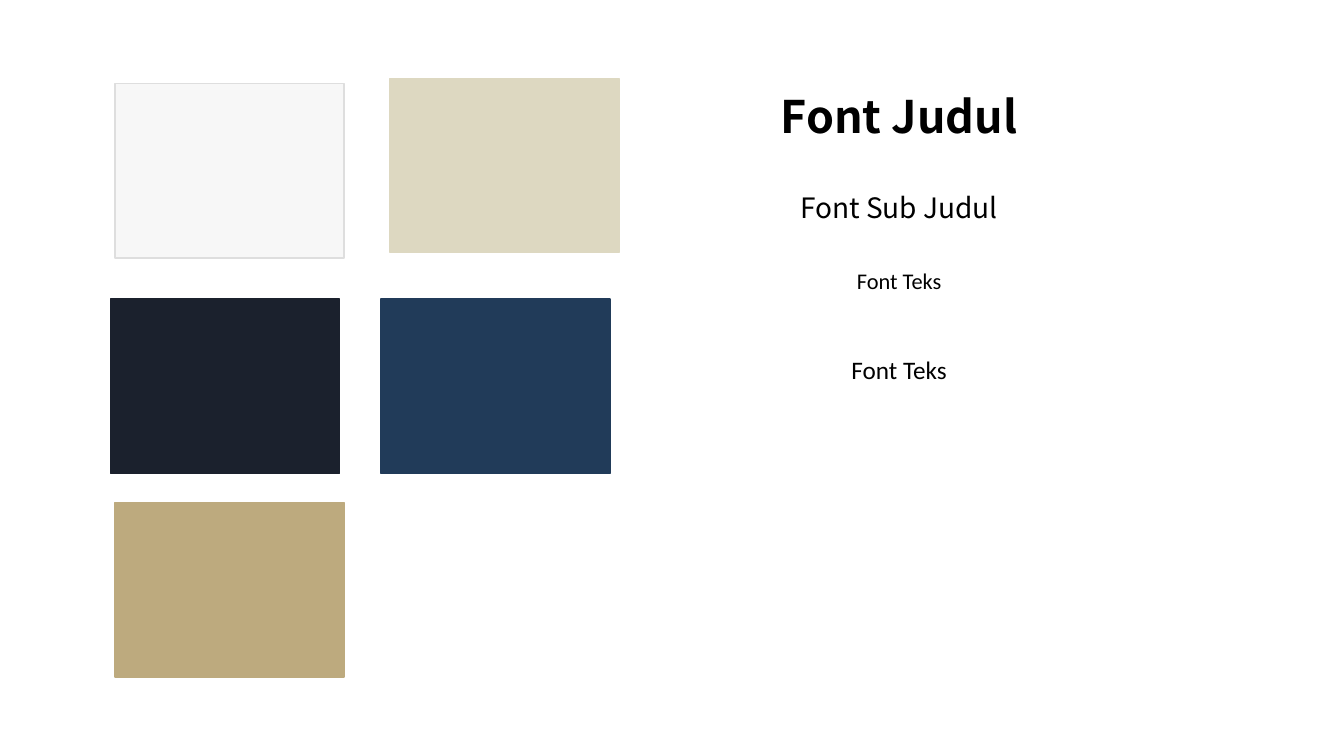
from dataclasses import dataclass

import pptx
import pptx.dml.color
import pptx.enum.shapes
import pptx.enum.text
import pptx.slide
import pptx.util
from pptx.util import Cm


@dataclass(frozen=True)
class Theme:
    background: str = "FFFFFF"
    text: str = "000000"
    white: str = "F7F7F7"
    white_border: str = "DEDEDE"
    navy: str = "1B212D"
    gold: str = "BDAA7E"
    cream: str = "DDD8C1"
    blue: str = "213B59"
    heading_font: str = "Noto Sans CJK TC"
    body_font: str = "Calibri"
    title_size: int = 32
    subtitle_size: int = 20
    small_size: int = 16
    body_size: int = 18


@dataclass(frozen=True)
class Swatch:
    left: float
    top: float
    fill: str
    border: str


@dataclass(frozen=True)
class FontSample:
    top: float
    text: str
    font: str
    size: int
    bold: bool = False


THEME = Theme()
SWATCH_WIDTH, SWATCH_HEIGHT = Cm(5.77), Cm(4.39)
SAMPLE_LEFT, SAMPLE_WIDTH, SAMPLE_HEIGHT = Cm(17.53), Cm(10.26), Cm(1.75)

SWATCHES = [
    Swatch(2.9, 2.11, THEME.white, THEME.white_border),
    Swatch(2.79, 7.54, THEME.navy, THEME.navy),
    Swatch(2.9, 12.67, THEME.gold, THEME.gold),
    Swatch(9.83, 1.98, THEME.cream, THEME.cream),
    Swatch(9.6, 7.54, THEME.blue, THEME.blue),
]
FONT_SAMPLES = [
    FontSample(2.26, "Font Judul", THEME.heading_font, THEME.title_size, True),
    FontSample(4.78, "Font Sub Judul", THEME.heading_font, THEME.subtitle_size),
    FontSample(6.68, "Font Teks", THEME.body_font, THEME.small_size),
    FontSample(8.89, "Font Teks", THEME.body_font, THEME.body_size),
]


def color(value: str) -> pptx.dml.color.RGBColor:
    return pptx.dml.color.RGBColor.from_string(value)


def apply_format(target: object, values: dict[str, object]) -> None:
    for name, value in values.items():
        setattr(target, name, value)


def draw_swatch(slide: pptx.slide.Slide, swatch: Swatch) -> None:
    shape = slide.shapes.add_shape(
        pptx.enum.shapes.MSO_SHAPE.RECTANGLE,
        Cm(swatch.left), Cm(swatch.top), SWATCH_WIDTH, SWATCH_HEIGHT,
    )
    shape.shadow.inherit = False
    shape.fill.solid()
    shape.fill.fore_color.rgb = color(swatch.fill)
    shape.line.color.rgb = color(swatch.border)
    shape.line.width = pptx.util.Pt(1)


def draw_font_sample(slide: pptx.slide.Slide, sample: FontSample) -> None:
    shape = slide.shapes.add_textbox(
        SAMPLE_LEFT, Cm(sample.top), SAMPLE_WIDTH, SAMPLE_HEIGHT
    )
    apply_format(shape.text_frame, {
        "word_wrap": True,
        "vertical_anchor": pptx.enum.text.MSO_ANCHOR.TOP,
    })
    paragraph = shape.text_frame.paragraphs[0]
    apply_format(paragraph, {
        "alignment": pptx.enum.text.PP_ALIGN.CENTER,
        "line_spacing": 0.9,
        "space_before": pptx.util.Pt(10),
    })
    run = paragraph.add_run()
    run.text = sample.text
    apply_format(run.font, {
        "name": sample.font,
        "size": pptx.util.Pt(sample.size),
        "bold": sample.bold,
    })
    run.font.color.rgb = color(THEME.text)


def main() -> None:
    presentation = pptx.Presentation()
    apply_format(presentation, {"slide_width": Cm(33.87), "slide_height": Cm(19.05)})
    slide = presentation.slides.add_slide(presentation.slide_layouts[6])
    slide.background.fill.solid()
    slide.background.fill.fore_color.rgb = color(THEME.background)
    for swatch in SWATCHES:
        draw_swatch(slide, swatch)
    for sample in FONT_SAMPLES:
        draw_font_sample(slide, sample)
    presentation.save("out.pptx")


if __name__ == "__main__":
    main()
